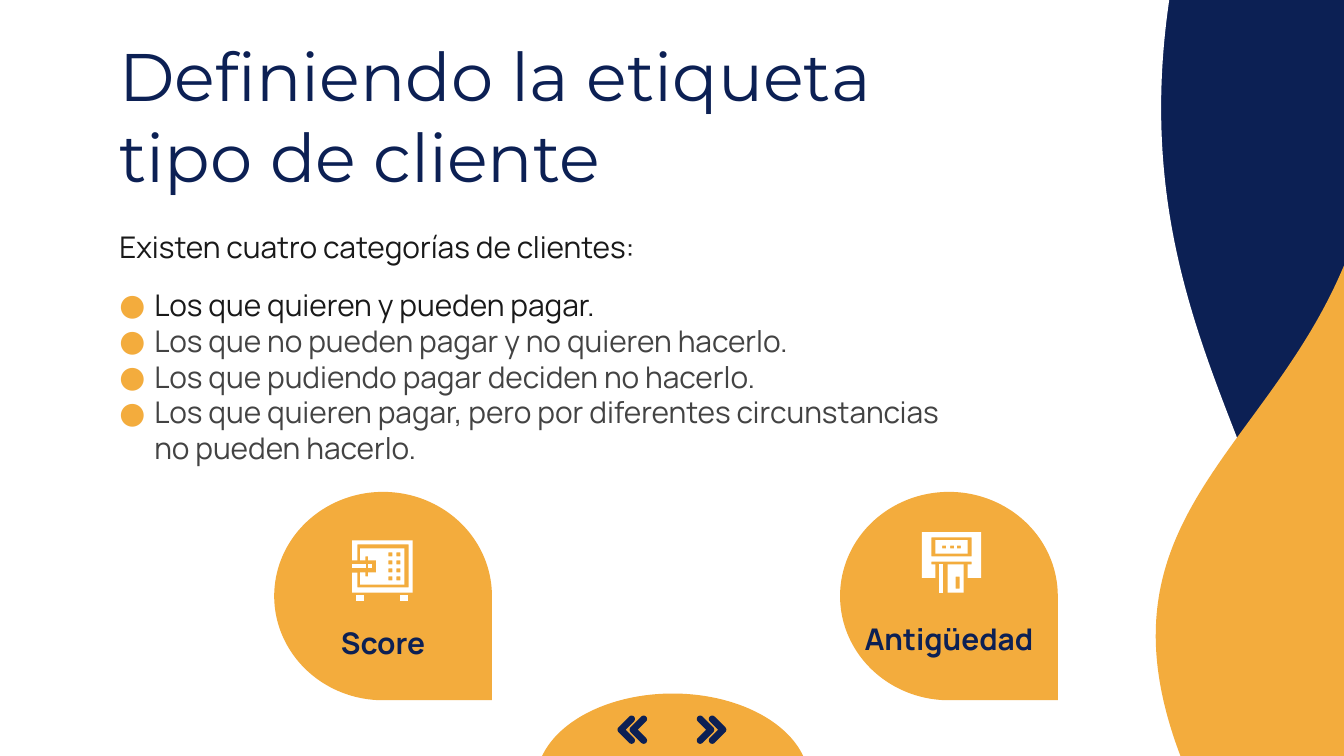
from dataclasses import dataclass
from itertools import product
from math import cos, radians, sin
from typing import NamedTuple

from lxml.etree import SubElement
from pptx import Presentation
from pptx.dml.color import RGBColor as Rgb
from pptx.enum.shapes import MSO_SHAPE as Preset
from pptx.enum.text import MSO_ANCHOR as Anchor, PP_ALIGN as Align
from pptx.oxml.ns import qn
from pptx.util import Inches, Pt


@dataclass(frozen=True)
class Theme:
    navy: str = "0C2054"
    orange: str = "F3AC3D"
    white: str = "FFFFFF"
    ink: str = "191919"
    gray: str = "434343"
    title_font: str = "Montserrat"
    body_font: str = "Manrope"
    title_size: int = 36
    body_size: int = 16


class Box(NamedTuple):
    left: float
    top: float
    width: float
    height: float


class Line(NamedTuple):
    text: str
    color: str
    bulleted: bool = False
    space_before: int = 0


class Drop(NamedTuple):
    label: str
    left: float
    label_top: float


class Chevron(NamedTuple):
    tip: float
    direction: int


Contour = list[tuple[float, float]]
THEME = Theme()
LINES = [
    Line("Existen cuatro categorías de clientes:", THEME.ink),
    Line("Los que quieren y pueden pagar.", THEME.ink, True, 12),
    Line("Los que no pueden pagar y no quieren hacerlo.", THEME.gray, True),
    Line("Los que pudiendo pagar deciden no hacerlo.", THEME.gray, True),
    Line("Los que quieren pagar, pero por diferentes circunstancias no pueden hacerlo.",
         THEME.gray, True),
]
DROPS = [Drop("Score", 2.04, 4.49), Drop("Antigüedad", 6.25, 4.46)]
CHEVRONS = [Chevron(5 + side * offset, side) for side in (1, -1) for offset in (0.29, 0.38)]


def paint(shape, color: str) -> None:
    shape.shadow.inherit = False
    shape.fill.solid()
    shape.fill.fore_color.rgb = Rgb.from_string(color)
    shape.line.fill.background()


def add_preset(slide, preset: Preset, box: Box, color: str, rotation: float = 0,
               flipped: bool = False, adjustments: tuple[float, ...] = ()) -> None:
    shape = slide.shapes.add_shape(preset, *map(Inches, box))
    paint(shape, color)
    shape.rotation = rotation
    if flipped:
        shape._element.spPr.find(qn("a:xfrm")).set("flipH", "1")
    for index, value in enumerate(adjustments):
        shape.adjustments[index] = value


def add_outline(slide, color: str, *contours: Contour) -> None:
    first, *others = [[(Inches(x), Inches(y)) for x, y in contour] for contour in contours]
    builder = slide.shapes.build_freeform(*first[0])
    builder.add_line_segments(first[1:], close=True)
    for contour in others:
        builder.move_to(*contour[0])
        builder.add_line_segments(contour[1:], close=True)
    paint(builder.convert_to_shape(), color)


def rect(left: float, top: float, right: float, bottom: float) -> Contour:
    return [(left, top), (left, bottom), (right, bottom), (right, top)]


def add_chevron(slide, chevron: Chevron) -> None:
    reach, stroke, middle = 0.08, 0.05, 5.43
    radius = stroke / 2
    arcs = [(-reach, -reach, 135, 315), (0, 0, 315, 405), (-reach, reach, 45, 225)]
    points = [(x + radius * cos(radians(angle)), y + radius * sin(radians(angle)))
              for x, y, start, end in arcs for angle in range(start, end + 1, 15)]
    points.append((-radius * 2 ** 0.5, 0))
    add_outline(slide, THEME.navy,
                [(chevron.tip + chevron.direction * x, middle + y) for x, y in points])


def add_safe_icon(slide) -> None:
    keys = [rect(x, y, x + 0.03, y + 0.03)
            for y, x in product((4.11, 4.17, 4.23, 4.29), (2.89, 2.95))]
    door = [(2.68, 4.08), (2.68, 4.17), (2.72, 4.17), (2.72, 4.14), (2.74, 4.14),
            (2.74, 4.17), (2.8, 4.17), (2.8, 4.26), (2.74, 4.26), (2.74, 4.29),
            (2.72, 4.29), (2.72, 4.26), (2.68, 4.26), (2.68, 4.35), (3.01, 4.35), (3.01, 4.08)]
    frame = [(2.62, 4.02), (2.62, 4.17), (2.66, 4.17), (2.66, 4.05), (3.04, 4.05),
             (3.04, 4.37), (2.66, 4.37), (2.66, 4.26), (2.62, 4.26), (2.62, 4.41),
             (3.07, 4.41), (3.07, 4.02)]
    handle = [rect(2.62, 4.2, 2.72, 4.23), rect(2.74, 4.2, 2.77, 4.23)]
    feet = [rect(x, 4.43, x + 0.06, 4.47) for x in (2.65, 2.98)]
    for part in (frame, *handle, *feet):
        add_outline(slide, THEME.white, part)
    add_outline(slide, THEME.white, door, *keys)


def add_cash_machine_icon(slide) -> None:
    dots = [rect(x, 4.06, x + 0.03, 4.08) for x in (7.01, 7.07, 7.12)]
    body = [(6.86, 3.96), (6.86, 4.3), (6.96, 4.3), (6.96, 4.2), (6.93, 4.2), (6.93, 4.18),
            (7.23, 4.18), (7.23, 4.2), (7.2, 4.2), (7.2, 4.3), (7.3, 4.3), (7.3, 3.96)]
    add_outline(slide, THEME.white, body, rect(6.93, 4, 7.23, 4.14))
    add_outline(slide, THEME.white, rect(6.96, 4.02, 7.2, 4.12), *dots)
    add_outline(slide, THEME.white, rect(6.99, 4.2, 7.02, 4.41))
    add_outline(slide, THEME.white, rect(7.05, 4.2, 7.17, 4.41), rect(7.11, 4.29, 7.14, 4.38))


def add_bullet(paragraph) -> None:
    properties = paragraph._p.get_or_add_pPr()
    properties.set("marL", str(Inches(0.26)))
    properties.set("indent", str(Inches(-0.28)))
    color = SubElement(properties, qn("a:buClr"))
    SubElement(color, qn("a:srgbClr")).set("val", THEME.orange)
    SubElement(properties, qn("a:buFont")).set("typeface", THEME.body_font)
    SubElement(properties, qn("a:buChar")).set("char", "●")


def add_text(slide, box: Box, lines: list[Line], font: str, size: int,
             anchor: Anchor = Anchor.MIDDLE, align: Align = Align.LEFT,
             bold: bool = False) -> None:
    frame = slide.shapes.add_textbox(*map(Inches, box)).text_frame
    frame.word_wrap = True
    frame.vertical_anchor = anchor
    frame.margin_left = frame.margin_right = Inches(0.1)
    frame.margin_top = frame.margin_bottom = Inches(0.1)
    for index, line in enumerate(lines):
        paragraph = frame.add_paragraph() if index else frame.paragraphs[0]
        paragraph.text = line.text
        paragraph.alignment = align
        if line.space_before:
            paragraph.space_before = Pt(line.space_before)
        if line.bulleted:
            add_bullet(paragraph)
        paragraph.font.name = font
        paragraph.font.size = Pt(size)
        paragraph.font.bold = bold
        paragraph.font.color.rgb = Rgb.from_string(line.color)


def main() -> None:
    deck = Presentation()
    deck.slide_width = Inches(10)
    deck.slide_height = Inches(10 * 9 / 16)
    slide = deck.slides.add_slide(deck.slide_layouts[6])
    slide.background.fill.solid()
    slide.background.fill.fore_color.rgb = Rgb.from_string(THEME.navy)

    wave = Preset.FLOWCHART_DOCUMENT
    add_preset(slide, wave, Box(0.93, -2.64, 7.72, 10.81), THEME.white, 281.6)
    add_preset(slide, wave, Box(10.15, -1.08, 5.67, 9), THEME.orange, 90, True)

    add_text(slide, Box(0.79, 0.59, 8.9, 0.53),
             [Line("Definiendo la etiqueta\vtipo de cliente", THEME.navy)],
             THEME.title_font, THEME.title_size)
    add_text(slide, Box(0.79, 1.6, 6.36, 2.53), LINES,
             THEME.body_font, THEME.body_size, Anchor.TOP)

    add_preset(slide, Preset.PIE, Box(3.99, 5.16, 2.03, 1.31), THEME.orange,
               180, True, (0, 108.31))
    for chevron in CHEVRONS:
        add_chevron(slide, chevron)

    for drop in DROPS:
        add_preset(slide, Preset.TEAR, Box(drop.left, 3.66, 1.62, 1.55), THEME.orange,
                   180, True, (1,))
        add_text(slide, Box(drop.left, drop.label_top, 1.62, 0.58),
                 [Line(drop.label, THEME.navy)], THEME.body_font, THEME.body_size,
                 align=Align.CENTER, bold=True)
    add_safe_icon(slide)
    add_cash_machine_icon(slide)
    deck.save("out.pptx")


if __name__ == "__main__":
    main()
